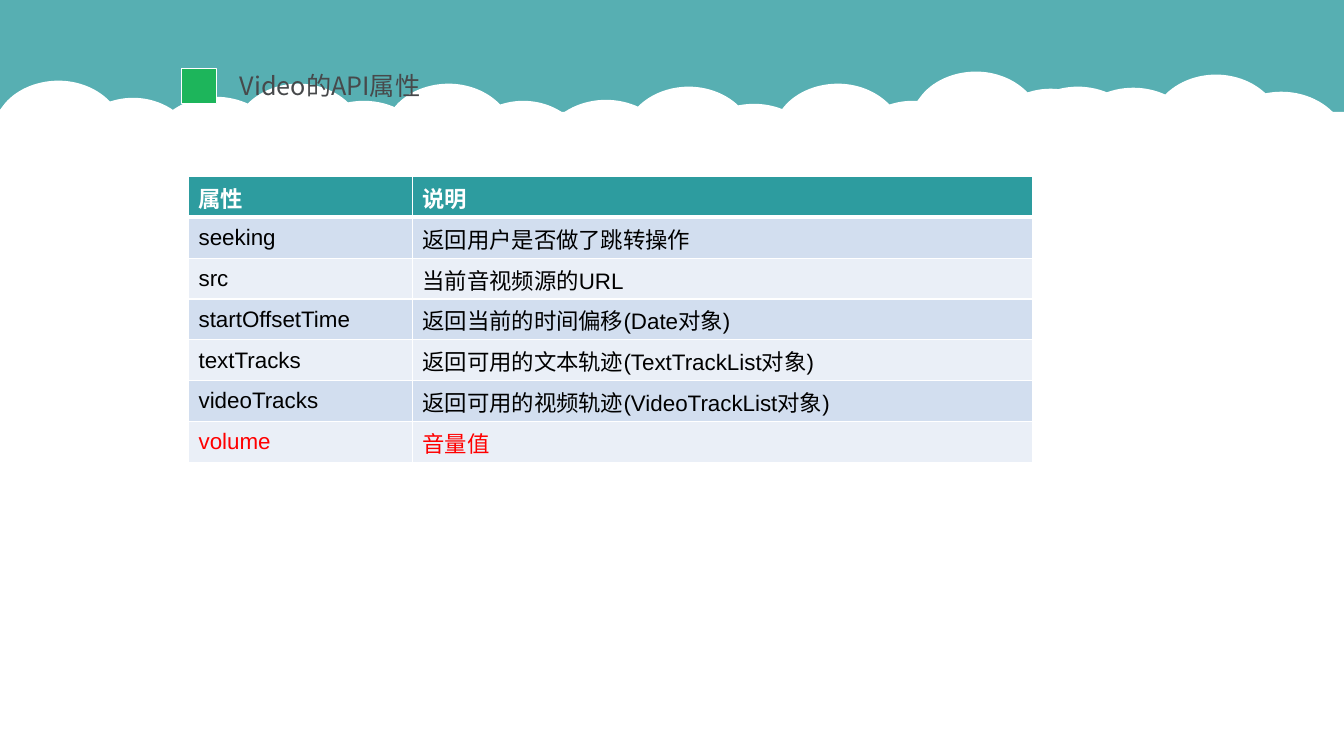
from lxml import etree
from pptx import Presentation
from pptx.dml.color import RGBColor
from pptx.enum.lang import MSO_LANGUAGE_ID
from pptx.enum.shapes import MSO_SHAPE
from pptx.enum.text import MSO_ANCHOR
from pptx.oxml.ns import qn
from pptx.util import Inches, Pt

RECTANGLE, OVAL = MSO_SHAPE.RECTANGLE, MSO_SHAPE.OVAL
TOP, MIDDLE = MSO_ANCHOR.TOP, MSO_ANCHOR.MIDDLE
CHINESE = MSO_LANGUAGE_ID.SIMPLIFIED_CHINESE

# Content
TITLE = "Video的API属性"
ROWS = [
    ("属性", "说明"),
    ("seeking", "返回用户是否做了跳转操作"),
    ("src", "当前音视频源的URL"),
    ("startOffsetTime", "返回当前的时间偏移(Date对象)"),
    ("textTracks", "返回可用的文本轨迹(TextTrackList对象)"),
    ("videoTracks", "返回可用的视频轨迹(VideoTrackList对象)"),
    ("volume", "音量值"),
]
HIGHLIGHTED = "volume"
COLORS = {
    "teal": "2D9C9F", "white": "FFFFFF", "green": "1DB55B", "title": "47494B",
    "odd": "D2DEEF", "even": "EAEFF7", "text": "000000", "highlight": "FF0000",
}
TITLE_FONT, TABLE_FONT = "Noto Sans CJK SC", "Arial"

# Layout in inches
WIDTH, HEIGHT = 13.33, 7.5
COLUMNS = (2.22, 6.15)
TABLE_LEFT, TABLE_TOP, TABLE_HEIGHT = 1.87, 1.75, 2.84
BANKS = [(0, 0.8), (3.87, 0.83), (7.73, 0.83), (9.1, 0.71)]
PUFF_WIDTH = 1.32
PUFFS = [(0.66, 0.17, 1.21), (1.48, 0.16, 1.11), (2.3, 0.03, 1.12)]  # left, top, height

# Cut puffs: a start, then one point for a line or three for a curve
LEFT_PUFF = [
    [(0.58, 0)],
    [(0.94, 0), (1.24, 0.25), (1.24, 0.56)],
    [(1.24, 0.87), (0.94, 1.11), (0.58, 1.11)],
    [(0.35, 1.11), (0.14, 1.02), (0.03, 0.87)],
    [(0, 0.83)], [(0, 0.29)], [(0.03, 0.25)],
    [(0.14, 0.1), (0.35, 0), (0.58, 0)],
]
RIGHT_PUFF = [
    [(0.66, 0)],
    [(0.93, 0), (1.17, 0.14), (1.27, 0.34)],
    [(1.28, 0.37)], [(1.28, 0.74)], [(1.27, 0.78)],
    [(1.17, 0.98), (0.93, 1.12), (0.66, 1.12)],
    [(0.29, 1.12), (0, 0.87), (0, 0.56)],
    [(0, 0.25), (0.29, 0), (0.66, 0)],
]

deck = Presentation()
deck.slide_width, deck.slide_height = Inches(WIDTH), Inches(HEIGHT)
page = deck.slides.add_slide(deck.slide_layouts[6])


def rgb(name):
    return RGBColor.from_string(COLORS[name])


def paint(shape, color):
    shape.shadow.inherit = False
    shape.fill.solid()
    shape.fill.fore_color.rgb = rgb(color)
    shape.line.fill.background()
    return shape


def add_preset(kind, left, top, width, height, color):
    box = [Inches(value) for value in (left, top, width, height)]
    return paint(page.shapes.add_shape(kind, *box), color)


def add_cut_puff(left, top, segments):
    points = [(Inches(left + x), Inches(top + y)) for part in segments for x, y in part]
    outline = page.shapes.build_freeform(*points[0])
    outline.add_line_segments(points[1:], close=True)
    puff = paint(outline.convert_to_shape(), "white")
    lines = iter(list(puff._element.iter(qn("a:lnTo"))))
    for part in segments[1:]:
        steps = [next(lines) for _ in part]
        if len(steps) == 3:  # join three lines into one curve
            curve = etree.Element(qn("a:cubicBezTo"))
            steps[0].addprevious(curve)
            for step in steps:
                curve.append(step[0])
                step.getparent().remove(step)


def style_text(frame, font, size, color, bold=False):
    for para in frame.paragraphs:
        for span in para.runs:
            span.font.name, span.font.size = font, Pt(size)
            span.font.bold, span.font.color.rgb = bold, rgb(color)
            span.font.language_id = CHINESE


def set_borders(cell, top, bottom):
    properties = cell._tc.get_or_add_tcPr()
    widths = {"a:lnL": 1, "a:lnR": 1, "a:lnT": top, "a:lnB": bottom}
    for place, (tag, width) in enumerate(widths.items()):
        line = etree.Element(qn(tag), w=str(Pt(width)))
        fill = etree.SubElement(line, qn("a:solidFill"))
        etree.SubElement(fill, qn("a:srgbClr"), val=COLORS["white"])
        properties.insert(place, line)


# Sky and clouds
sky = add_preset(RECTANGLE, 0, -0.03, WIDTH, 3.71, "teal")
sky_color = sky._element.spPr.find(".//" + qn("a:srgbClr"))
etree.SubElement(sky_color, qn("a:alpha"), val="80000")
for left, top in BANKS:
    add_cut_puff(left, top, LEFT_PUFF)
    for dx, dy, height in PUFFS:
        add_preset(OVAL, left + dx, top + dy, PUFF_WIDTH, height, "white")
    add_cut_puff(left + 2.95, top + 0.2, RIGHT_PUFF)
add_preset(RECTANGLE, 0, 1.11, WIDTH, 4.5, "white")

# Title and its marker
title = page.shapes.add_textbox(Inches(2.28), Inches(0.65), Inches(4.13), Inches(0.4))
title.text_frame.word_wrap = True
title.text_frame.text = TITLE
style_text(title.text_frame, TITLE_FONT, 18, "title")
for span in title.text_frame.paragraphs[0].runs:
    etree.SubElement(span.font._element, qn("a:ea"), typeface=TITLE_FONT)
marker = add_preset(RECTANGLE, 1.8, 0.68, 0.35, 0.35, "green")
marker.line.color.rgb, marker.line.width = rgb("white"), Pt(1)

# Attribute table
table = page.shapes.add_table(
    len(ROWS), len(COLUMNS), Inches(TABLE_LEFT), Inches(TABLE_TOP),
    Inches(sum(COLUMNS)), Inches(TABLE_HEIGHT)).table
for column, width in zip(table.columns, COLUMNS):
    column.width = Inches(width)
for r, row in enumerate(ROWS):
    table.rows[r].height = Inches(TABLE_HEIGHT / len(ROWS))
    header = r == 0
    if header:
        fill, color = "teal", "white"
    else:
        fill = "odd" if r % 2 else "even"
        color = "highlight" if row[0] == HIGHLIGHTED else "text"
    for c, text in enumerate(row):
        cell = table.cell(r, c)
        cell.text_frame.text = text
        cell.vertical_anchor = TOP if header else MIDDLE
        style_text(cell.text_frame, TABLE_FONT, 16, color, header)
        cell.fill.solid()
        cell.fill.fore_color.rgb = rgb(fill)
        set_borders(cell, 3 if r == 1 else 1, 3 if header else 1)

deck.save("out.pptx")
